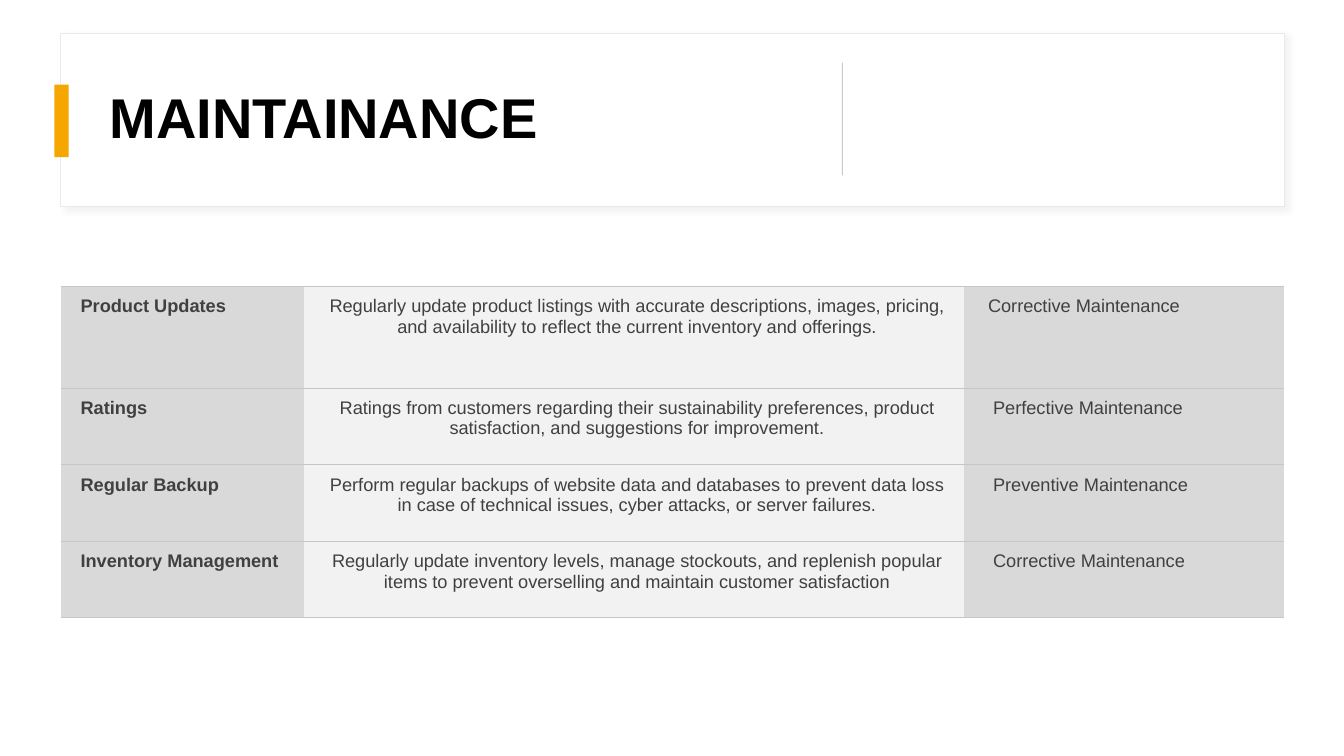
from lxml.etree import SubElement
from pptx import Presentation
from pptx.dml.color import RGBColor
from pptx.enum.shapes import MSO_SHAPE
from pptx.enum.text import MSO_ANCHOR, PP_ALIGN
from pptx.oxml import parse_xml
from pptx.oxml.ns import nsdecls, qn
from pptx.util import Inches, Pt

BLACK = RGBColor(0x00, 0x00, 0x00)
WHITE = RGBColor(0xFF, 0xFF, 0xFF)
AMBER = RGBColor(0xF5, 0xA7, 0x00)
DIVIDER = RGBColor(0xC9, 0xC9, 0xC9)
FRAME = RGBColor(0xE9, 0xE9, 0xE9)
SHADOW = RGBColor(0xD9, 0xD9, 0xD9)
RULE = RGBColor(0xC7, 0xC6, 0xC1)
INK = RGBColor(0x40, 0x40, 0x40)
OUTER_FILL = RGBColor(0xD9, 0xD9, 0xD9)
MIDDLE_FILL = RGBColor(0xF2, 0xF2, 0xF2)

TASKS = [
    ("Product Updates",
     "Regularly update product listings with accurate descriptions, images, pricing, "
     "and availability to reflect the current inventory and offerings.",
     "Corrective Maintenance"),
    ("Ratings",
     "Ratings from customers regarding their sustainability preferences, product "
     "satisfaction, and suggestions for improvement.",
     "Perfective Maintenance"),
    ("Regular Backup",
     "Perform regular backups of website data and databases to prevent data loss "
     "in case of technical issues, cyber attacks, or server failures.",
     "Preventive Maintenance"),
    ("Inventory Management",
     "Regularly update inventory levels, manage stockouts, and replenish popular "
     "items to prevent overselling and maintain customer satisfaction",
     "Corrective Maintenance"),
]
COLUMN_WIDTHS = [2.41, 6.54, 3.18]
ROW_HEIGHTS = [0.68, 1.01, 0.76, 0.76, 0.76, 0.55]


class SlideBuilder:
    """Draws the elements of one slide in a shared style."""

    def __init__(self, slide, font_name="Arial"):
        self.slide = slide
        self.font_name = font_name

    def style(self, paragraph, size, color, bold):
        font = paragraph.font
        font.name, font.size, font.bold = self.font_name, Pt(size), bold
        font.color.rgb = color

    def block(self, left, top, width, height, fill, line=None):
        block = self.slide.shapes.add_shape(
            MSO_SHAPE.RECTANGLE, Inches(left), Inches(top), Inches(width), Inches(height))
        block.shadow.inherit = False
        block.fill.solid()
        block.fill.fore_color.rgb = fill
        if line is None:
            block.line.fill.background()
        else:
            block.line.color.rgb = line
            block.line.width = Pt(1)
        return block

    def cast_shadow(self, block):
        effects = block.element.spPr.find(qn("a:effectLst"))
        effects.append(parse_xml(
            f'<a:outerShdw {nsdecls("a")} blurRad="{Pt(4)}" dist="{Pt(3)}" dir="2700000" '
            f'algn="tl" rotWithShape="0"><a:srgbClr val="{SHADOW}">'
            '<a:alpha val="30000"/></a:srgbClr></a:outerShdw>'))

    def title(self, text, left, top, width, height):
        frame = self.slide.shapes.add_textbox(
            Inches(left), Inches(top), Inches(width), Inches(height)).text_frame
        frame.word_wrap = True
        frame.vertical_anchor = MSO_ANCHOR.MIDDLE
        heading = frame.paragraphs[0]
        heading.text = text
        heading.line_spacing = 0.9
        self.style(heading, 40, BLACK, True)

    def borders(self, cell, ruled_sides):
        properties = cell._tc.get_or_add_tcPr()
        for side in "LRTB":
            edge = SubElement(properties, qn(f"a:ln{side}"), w=str(Pt(0.75)))
            if side in ruled_sides:
                fill = SubElement(edge, qn("a:solidFill"))
                SubElement(fill, qn("a:srgbClr"), val=str(RULE))
            else:
                SubElement(edge, qn("a:noFill"))

    def task_cell(self, cell, text, column, indent):
        cell.margin_left, cell.margin_right = Inches(indent), Inches(0.14)
        cell.margin_top = cell.margin_bottom = Inches(0.1)
        cell.fill.solid()
        cell.fill.fore_color.rgb = MIDDLE_FILL if column == 1 else OUTER_FILL
        paragraph = cell.text_frame.paragraphs[0]
        paragraph.text = text
        paragraph.alignment = PP_ALIGN.CENTER if column == 1 else PP_ALIGN.LEFT
        self.style(paragraph, 13, INK, column == 0)

    def task_table(self, tasks, left, top):
        table = self.slide.shapes.add_table(
            len(ROW_HEIGHTS), len(COLUMN_WIDTHS), Inches(left), Inches(top),
            Inches(sum(COLUMN_WIDTHS)), Inches(sum(ROW_HEIGHTS))).table
        table.first_row = table.horz_banding = False
        for column, width in zip(table.columns, COLUMN_WIDTHS):
            column.width = Inches(width)
        last = len(ROW_HEIGHTS) - 1
        for row, height in enumerate(ROW_HEIGHTS):
            table.rows[row].height = Inches(height)
            ruled_sides = ("T" if row > 0 else "") + ("B" if row < last else "")
            for column in range(len(COLUMN_WIDTHS)):
                cell = table.cell(row, column)
                self.borders(cell, ruled_sides)
                if row in (0, last):
                    cell.fill.background()
                    continue
                indent = 0.19
                if column == 2:
                    indent = 0.24 if row == 1 else 0.29
                self.task_cell(cell, tasks[row - 1][column], column, indent)


def main():
    presentation = Presentation()
    presentation.slide_width, presentation.slide_height = Inches(13.33), Inches(7.5)
    builder = SlideBuilder(presentation.slides.add_slide(presentation.slide_layouts[6]))
    header = builder.block(0.6, 0.33, 12.14, 1.72, WHITE, FRAME)
    builder.cast_shadow(header)
    builder.title("MAINTAINANCE", 0.99, 0.44, 7.03, 1.5)
    builder.block(0.54, 0.84, 0.14, 0.72, AMBER)
    builder.block(8.35, 0.62, 0.01, 1.12, DIVIDER)
    builder.task_table(TASKS, 0.61, 2.16)
    presentation.save("out.pptx")


if __name__ == "__main__":
    main()
